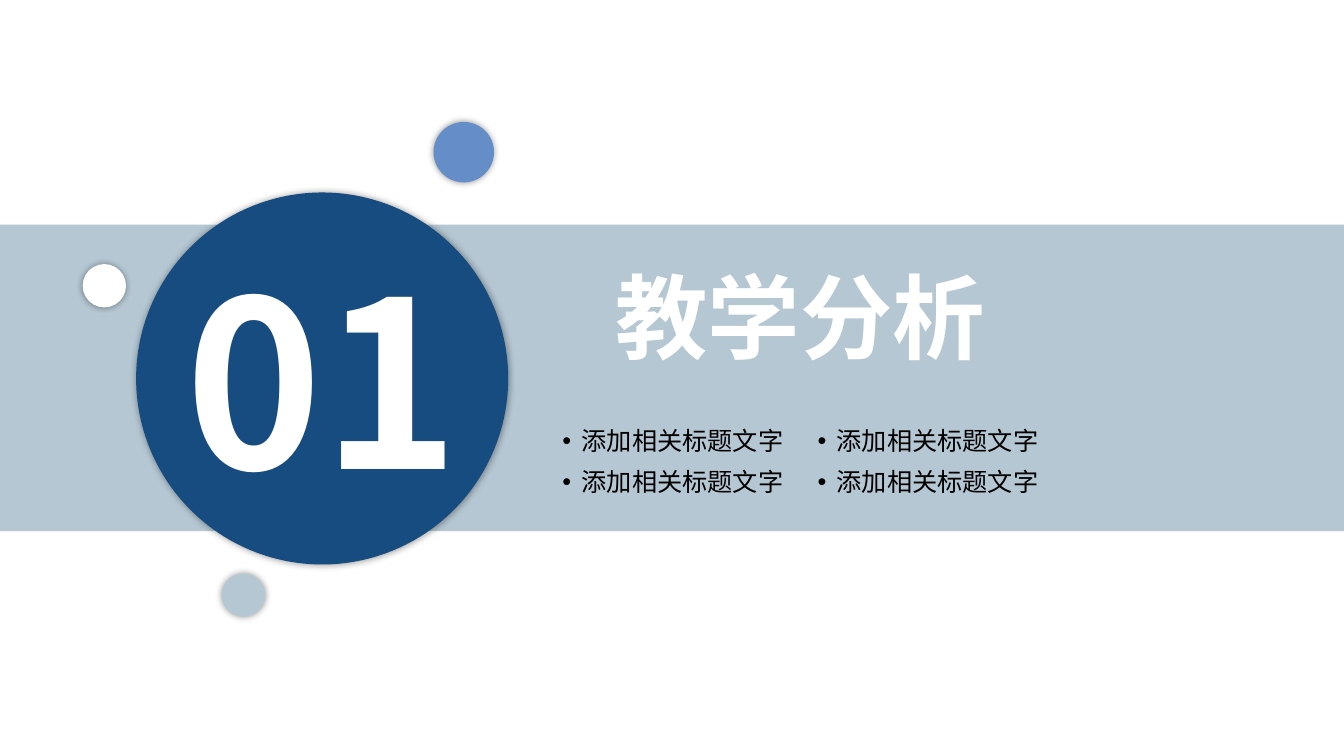
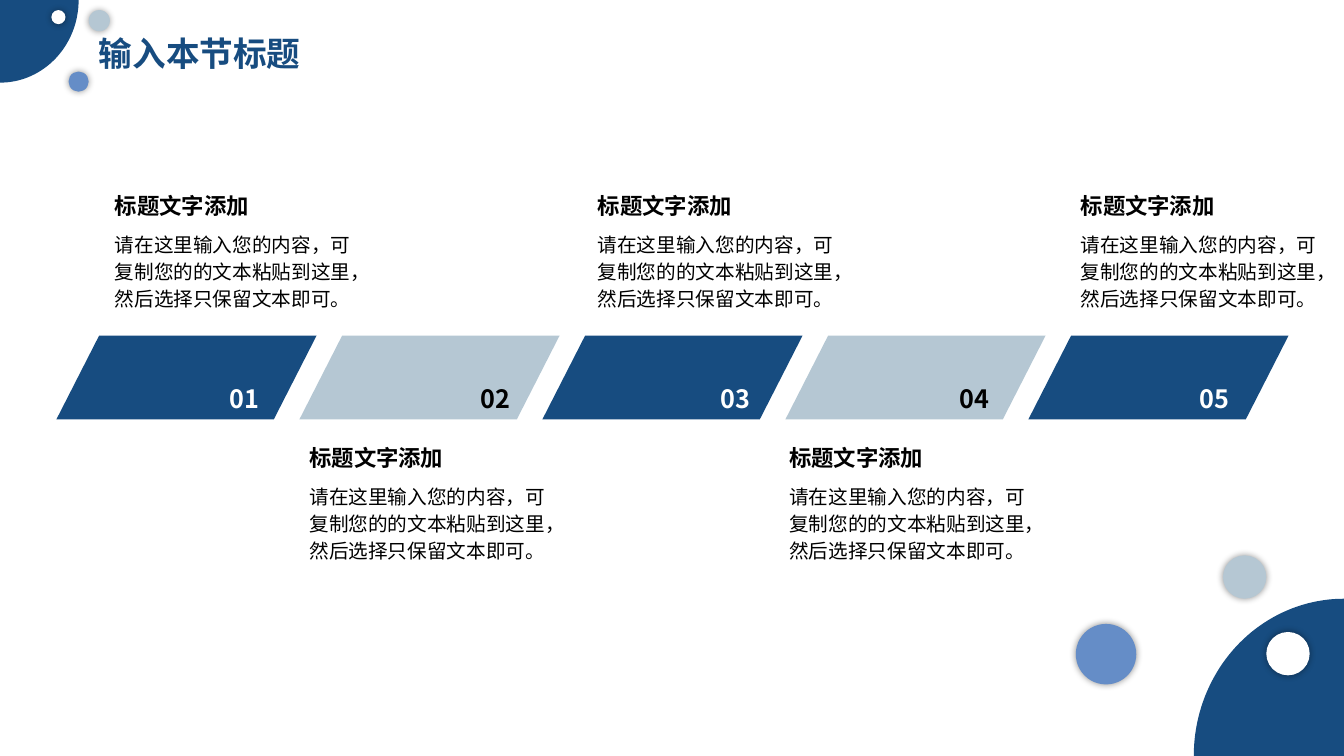
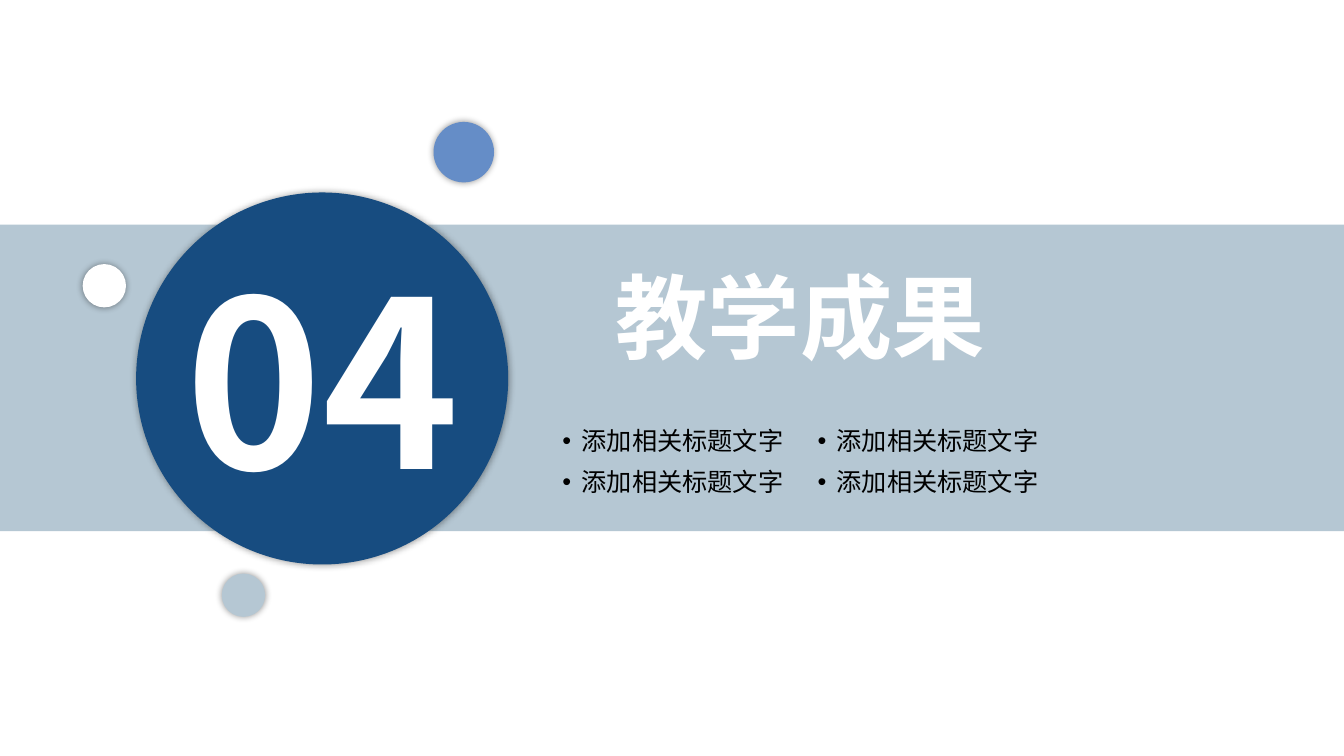
from math import cos, radians, sin

from lxml.etree import SubElement
from pptx import Presentation
from pptx.dml.color import RGBColor
from pptx.enum.shapes import MSO_SHAPE
from pptx.enum.text import MSO_ANCHOR, MSO_AUTO_SIZE, PP_ALIGN
from pptx.oxml.ns import qn
from pptx.util import Inches, Pt

FONT = "Noto Sans CJK SC"
COLORS = {
    "navy": "174C80",
    "blue": "658DC7",
    "mist": "B5C7D3",
    "white": "FFFFFF",
    "black": "000000",
}
SLIDE_W, SLIDE_H = 13.33, 7.5

SECTIONS = {
    "analysis": ("01", "教学分析"),
    "results": ("04", "教学成果"),
}
SECTION_TOPICS = ["添加相关标题文字"] * 4
SECTION_DOTS = [
    (0.82, 2.62, 0.43, "white"),
    (4.3, 1.21, 0.6, "blue"),
    (2.2, 5.69, 0.43, "mist"),
]

STEPS_TITLE = "输入本节标题"
STEP_HEADING = "标题文字添加"
STEP_BODY = "请在这里输入您的内容，可复制您的的文本粘贴到这里，然后选择只保留文本即可。"
STEPS = [
    ("01", 2.15, 1.04),
    ("02", 4.64, 2.97),
    ("03", 7.02, 5.83),
    ("04", 9.39, 7.73),
    ("05", 11.77, 10.62),
]
STEP_LEFT, STEP_PITCH = 0.56, 2.41
CAPTION_TOPS = [1.86, 4.36]
STEP_STYLES = [("navy", "white"), ("mist", "black")]
CORNERS = [
    (0, 0, 0.78, 0.82, 0),
    (SLIDE_W, SLIDE_H, 1.49, 1.56, 180),
]
CORNER_DOTS = [
    (0.51, 0.1, 0.14, "white"),
    (0.68, 0.71, 0.2, "blue"),
    (0.88, 0.1, 0.21, "mist"),
    (10.67, 6.19, 0.6, "blue"),
    (12.56, 6.27, 0.43, "white"),
    (12.13, 5.51, 0.43, "mist"),
]


def rgb(color):
    return RGBColor.from_string(COLORS[color])


def paint(shape, color):
    shape.shadow.inherit = False
    shape.fill.solid()
    shape.fill.fore_color.rgb = rgb(color)
    shape.line.fill.background()
    return shape


def add_block(slide, kind, left, top, width, height, color):
    block = slide.shapes.add_shape(
        kind, Inches(left), Inches(top), Inches(width), Inches(height))
    return paint(block, color)


def add_dot(slide, left, top, size, color):
    dot = add_block(slide, MSO_SHAPE.OVAL, left, top, size, size, color)
    effects = dot.element.spPr.find(qn("a:effectLst"))
    glow = SubElement(effects, qn("a:outerShdw"), blurRad=str(Pt(5)),
                      dist="0", dir="0", algn="ctr", rotWithShape="0")
    tint = SubElement(glow, qn("a:srgbClr"), val=COLORS["black"])
    SubElement(tint, qn("a:alpha"), val="40000")


def add_corner(slide, x, y, radius_x, radius_y, start):
    arc = [
        (Inches(x + radius_x * cos(radians(angle))),
         Inches(y + radius_y * sin(radians(angle))))
        for angle in range(start, start + 91, 2)
    ]
    outline = slide.shapes.build_freeform(Inches(x), Inches(y))
    outline.add_line_segments(arc, close=True)
    paint(outline.convert_to_shape(), "navy")


def write(holder, text, size, color, bold=False, align=PP_ALIGN.LEFT,
          wrap=True, margins=(0.1, 0.05), spacing=1.0, bullet=False):
    frame = holder.text_frame
    frame.auto_size = MSO_AUTO_SIZE.NONE
    frame.word_wrap = wrap
    frame.vertical_anchor = MSO_ANCHOR.TOP
    frame.margin_left = frame.margin_right = Inches(margins[0])
    frame.margin_top = frame.margin_bottom = Inches(margins[1])
    paragraph = frame.paragraphs[0]
    paragraph.alignment = align
    paragraph.line_spacing = spacing
    if bullet:
        properties = paragraph._p.get_or_add_pPr()
        properties.set("marL", str(Inches(0.19)))
        properties.set("indent", str(Inches(-0.19)))
        SubElement(properties, qn("a:buFont"), typeface="Arial")
        SubElement(properties, qn("a:buChar"), char="•")
    run = paragraph.add_run()
    run.text = text
    font = run.font
    font.size, font.bold, font.name = Pt(size), bold, FONT
    font.color.rgb = rgb(color)
    SubElement(run._r.get_or_add_rPr(), qn("a:ea"), typeface=FONT)


def add_text(slide, left, top, width, height, text, size, color, **style):
    box = slide.shapes.add_textbox(
        Inches(left), Inches(top), Inches(width), Inches(height))
    write(box, text, size, color, **style)


def place_title(slide, left, top, width, height, text, size, color, **style):
    title = slide.shapes.title
    title.left, title.top = Inches(left), Inches(top)
    title.width, title.height = Inches(width), Inches(height)
    title.element.getparent().append(title.element)
    write(title, text, size, color, bold=True, **style)


def new_slide(deck):
    return deck.slides.add_slide(deck.slide_layouts[5])


def build_section(deck, number, name):
    slide = new_slide(deck)
    add_block(slide, MSO_SHAPE.RECTANGLE, 0, 2.23, SLIDE_W, 3.04, "mist")
    add_dot(slide, 1.35, 1.91, 3.69, "navy")
    add_text(slide, 1.79, 2.3, 2.81, 2.89, number, 166, "white",
             bold=True, align=PP_ALIGN.CENTER, wrap=False, margins=(0, 0.05))
    place_title(slide, 5.98, 2.52, 3.91, 1.23, name, 66, "white",
                align=PP_ALIGN.CENTER, wrap=False, margins=(0.12, 0.06))
    for index, topic in enumerate(SECTION_TOPICS):
        row, column = divmod(index, 2)
        add_text(slide, 5.48 + 2.53 * column, 4.17 + 0.41 * row, 2.39, 0.4,
                 topic, 18, "black", wrap=False, bullet=True)
    for dot in SECTION_DOTS:
        add_dot(slide, *dot)


def build_steps(deck):
    slide = new_slide(deck)
    for corner in CORNERS:
        add_corner(slide, *corner)
    for dot in CORNER_DOTS:
        add_dot(slide, *dot)
    place_title(slide, 0.88, 0.28, 2.82, 0.5, STEPS_TITLE, 24, "navy")
    for index, (number, number_left, caption_left) in enumerate(STEPS):
        fill, ink = STEP_STYLES[index % 2]
        band = add_block(slide, MSO_SHAPE.PARALLELOGRAM,
                         STEP_LEFT + STEP_PITCH * index, 3.33, 2.58, 0.83, fill)
        band.adjustments[0] = 0.51
        add_text(slide, number_left, 3.75, 0.55, 0.4, number, 18, ink,
                 bold=True, align=PP_ALIGN.CENTER)
        caption_top = CAPTION_TOPS[index % 2]
        add_text(slide, caption_left, caption_top, 2.65, 0.37,
                 STEP_HEADING, 16, "black", bold=True)
        add_text(slide, caption_left, caption_top + 0.37, 2.65, 0.91,
                 STEP_BODY, 14, "black", spacing=1.14)


def main():
    deck = Presentation()
    deck.slide_width, deck.slide_height = Inches(SLIDE_W), Inches(SLIDE_H)
    build_section(deck, *SECTIONS["analysis"])
    build_steps(deck)
    build_section(deck, *SECTIONS["results"])
    deck.save("out.pptx")


if __name__ == "__main__":
    main()
